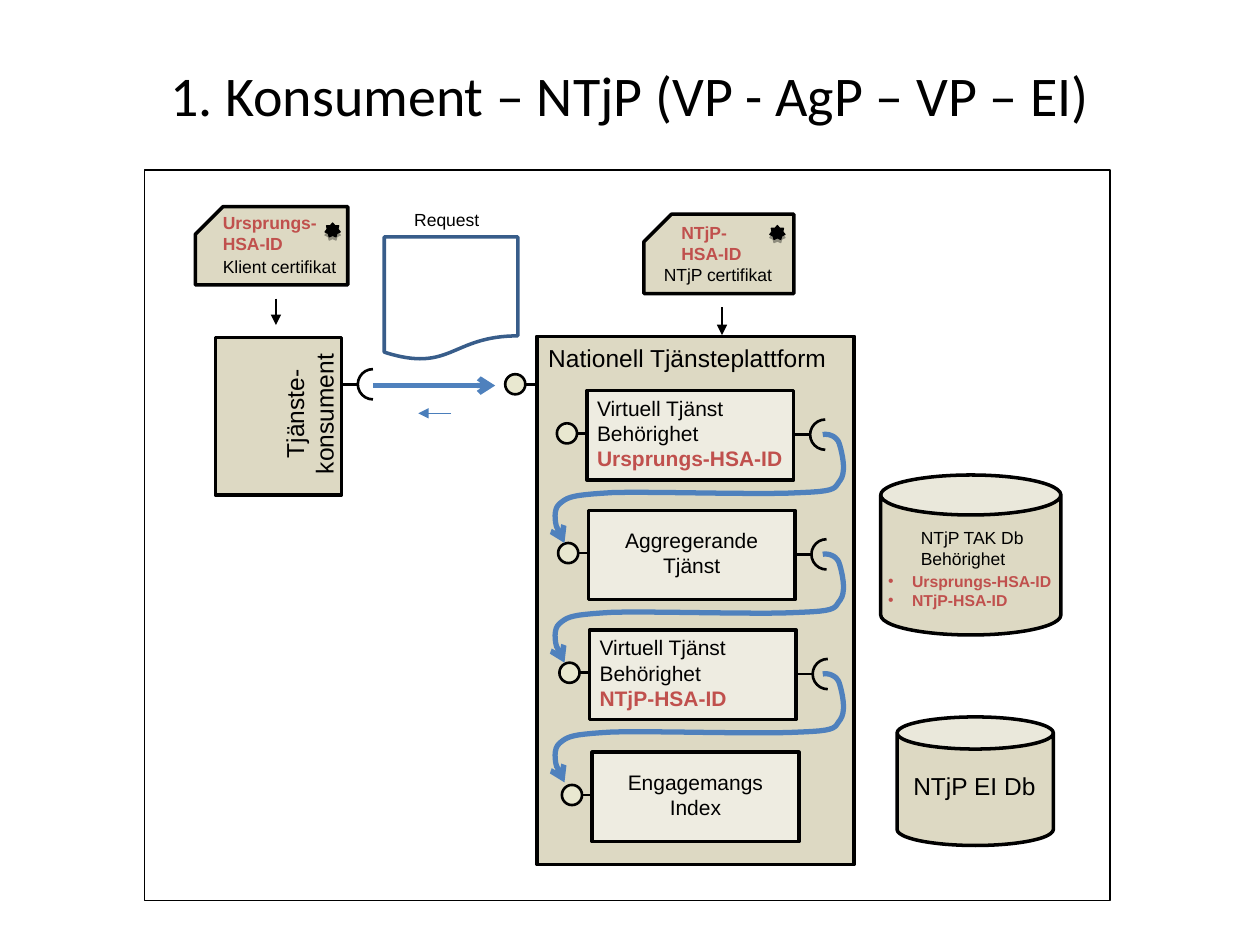
from lxml import etree
from pptx import Presentation
from pptx.dml.color import RGBColor
from pptx.enum.shapes import MSO_CONNECTOR, MSO_SHAPE
from pptx.enum.text import MSO_ANCHOR, MSO_AUTO_SIZE, PP_ALIGN
from pptx.oxml.ns import qn
from pptx.util import Inches, Pt

STRAIGHT = MSO_CONNECTOR.STRAIGHT
RECTANGLE, OVAL, ARC = MSO_SHAPE.RECTANGLE, MSO_SHAPE.OVAL, MSO_SHAPE.ARC
CAN, DOCUMENT, SEAL = MSO_SHAPE.CAN, MSO_SHAPE.FLOWCHART_DOCUMENT, MSO_SHAPE.STAR_7_POINT
LEFT, CENTER = PP_ALIGN.LEFT, PP_ALIGN.CENTER
MIDDLE, NO_RESIZE = MSO_ANCHOR.MIDDLE, MSO_AUTO_SIZE.NONE

BLACK, RED, BLUE, THIN_BLUE = "000000", "C0504D", "4F81BD", "4A7EBB"
SAND, PALE, BALL = "DDD9C3", "EEECE1", "E9E8D0"

TITLE = "1. Konsument – NTjP (VP - AgP – VP – EI)"
ROW_STEP = 0.95
SERVICES = [
    dict(at=(4.66, 3.1), align=LEFT, width=1.67, lines=["Virtuell Tjänst", "Behörighet"], identity="Ursprungs-HSA-ID"),
    dict(at=(4.67, 4.05), align=CENTER, width=1.3, lines=["Aggregerande", "Tjänst"], identity=None),
    dict(at=(4.68, 5.0), align=LEFT, width=1.21, lines=["Virtuell Tjänst", "Behörighet"], identity="NTjP-HSA-ID"),
    dict(at=(4.7, 5.97), align=CENTER, width=1.27, lines=["Engagemangs", "Index"], identity=None),
]
CERTIFICATES = [
    dict(at=(1.55, 1.64, 1.21, 0.62), seal=(2.58, 1.77), arrow=(2.19, 2.37, 2.58),
         name="Klient certifikat", name_at=(1.67, 1.98, 1.1, 0.27),
         identity=["Ursprungs-", "HSA-ID"], identity_at=(1.67, 1.63, 0.94, 0.44)),
    dict(at=(5.11, 1.7, 1.19, 0.63), seal=(6.11, 1.79), arrow=(5.73, 2.44, 2.66),
         name="NTjP certifikat", name_at=(5.17, 2.05, 1.06, 0.27),
         identity=["NTjP-", "HSA-ID"], identity_at=(5.31, 1.71, 0.67, 0.44)),
]
FLOW_START = (6.53, 3.45)
FLOW_CURVES = [
    ((6.57, 3.44), (6.64, 3.46), (6.66, 3.52)),
    ((6.68, 3.58), (6.72, 3.74), (6.67, 3.81)),
    ((6.62, 3.87), (6.66, 3.9), (6.36, 3.91)),
    ((6.06, 3.93), (5.18, 3.9), (4.86, 3.91)),
    ((4.54, 3.93), (4.51, 3.94), (4.44, 4.0)),
    ((4.38, 4.05), (4.41, 4.19), (4.44, 4.24)),
    ((4.47, 4.3), (4.48, 4.31), (4.48, 4.31)),
]


def color(value):
    return RGBColor.from_string(value)


def add_xml(parent, tag, **attributes):
    return etree.SubElement(parent, qn(tag), attributes)


def paint(shape, fill, line, weight):
    shape.shadow.inherit = False
    if fill:
        shape.fill.solid()
        shape.fill.fore_color.rgb = color(fill)
    else:
        shape.fill.background()
    shape.line.color.rgb = color(line)
    shape.line.width = Pt(weight)
    return shape


def add_box(kind, at, fill=None, line=BLACK, weight=2):
    return paint(page.shapes.add_shape(kind, *map(Inches, at)), fill, line, weight)


def add_head(shape, head):
    add_xml(shape.line._get_or_add_ln(), "a:tailEnd", type=head)


def add_line(start, end, line=BLACK, weight=1.5, head=None):
    connector = page.shapes.add_connector(STRAIGHT, *map(Inches, start + end))
    connector.line.color.rgb = color(line)
    connector.line.width = Pt(weight)
    if head:
        add_head(connector, head)
    add_xml(connector._element.spPr, "a:effectLst")


def add_outline(points, closed, fill, line, weight):
    corners = [(Inches(x), Inches(y)) for x, y in points]
    builder = page.shapes.build_freeform(*corners[0])
    builder.add_line_segments(corners[1:], close=closed)
    return paint(builder.convert_to_shape(), fill, line, weight)


def add_text(at, lines, size, align=LEFT, ink=BLACK, bold=False, bullet=False):
    box = page.shapes.add_textbox(*map(Inches, at))
    frame = box.text_frame
    frame.word_wrap = False
    frame.auto_size = NO_RESIZE
    for index, line in enumerate(lines):
        para = frame.paragraphs[0] if index == 0 else frame.add_paragraph()
        add_para(para, line, size, align, ink, bold)
        if bullet:
            properties = para._p.get_or_add_pPr()
            properties.set("marL", str(Inches(0.19)))
            properties.set("indent", str(-Inches(0.19)))
            add_xml(add_xml(properties, "a:buClr"), "a:srgbClr", val=ink)
            add_xml(properties, "a:buFont", typeface="Arial")
            add_xml(properties, "a:buChar", char="•")
    return box


def add_para(para, text, size, align, ink=BLACK, bold=False, font="Arial"):
    para.alignment = align
    span = para.add_run()
    span.text = text
    span.font.name = font
    span.font.size = Pt(size)
    span.font.bold = bold
    span.font.color.rgb = color(ink)


def add_socket(x, y):
    add_line((x - 0.3, y), (x, y))
    arc = add_box(ARC, (x, y - 0.12, 0.24, 0.24), weight=1.5)
    arc.adjustments[0] = 54
    arc.adjustments[1] = 162


def add_ball(x, y):
    add_line((x + 0.16, y), (x + 0.52, y))
    add_box(OVAL, (x, y - 0.08, 0.16, 0.16), BALL, weight=1.5)


def add_certificate(card):
    x, y, width, height = card["at"]
    corners = [(x + width, y), (x + 0.22, y), (x, y + 0.22), (x, y + height), (x + width, y + height)]
    add_outline(corners, True, SAND, BLACK, 2)
    seal = add_box(SEAL, card["seal"] + (0.12, 0.11), BLACK, weight=0.75)
    effects = seal._element.spPr.find(qn("a:effectLst"))
    shadow = add_xml(effects, "a:outerShdw", blurRad="0", dist=str(Pt(1.8)), dir="5400000")
    add_xml(add_xml(shadow, "a:srgbClr", val=BLACK), "a:alpha", val="35000")
    add_text(card["name_at"], [card["name"]], 10)
    add_text(card["identity_at"], card["identity"], 10, ink=RED, bold=True)
    x, top, bottom = card["arrow"]
    add_line((x, top), (x, bottom), weight=0.75, head="triangle")


def add_service(service):
    x, y = service["at"]
    add_ball(x - 0.24, y + 0.34)
    add_box(RECTANGLE, (x, y, 1.64, 0.71), PALE)
    if service["align"] == LEFT:
        at = (x - 0.02, y - 0.01, service["width"], 0.7)
    else:
        at = (x + 0.82 - service["width"] / 2, y + 0.09, service["width"], 0.5)
    box = add_text(at, service["lines"], 12, service["align"])
    if service["identity"]:
        add_para(box.text_frame.add_paragraph(), service["identity"], 12, LEFT, RED, True)


def add_flow(shift):
    points = [FLOW_START]
    for curve in FLOW_CURVES:
        nodes = (points[-1],) + curve
        for step in range(1, 11):
            t = step / 10
            weights = ((1 - t) ** 3, 3 * t * (1 - t) ** 2, 3 * t * t * (1 - t), t ** 3)
            points.append(tuple(sum(w * n[axis] for w, n in zip(weights, nodes)) for axis in (0, 1)))
    flow = add_outline([(x, y + shift) for x, y in points], False, None, BLUE, 3)
    add_head(flow, "arrow")


deck = Presentation()
deck.slide_width, deck.slide_height = Inches(10), Inches(7.5)
page = deck.slides.add_slide(deck.slide_layouts[5])

title = page.shapes.title
title.left, title.top, title.width, title.height = map(Inches, (0.5, 0.12, 9, 1.25))
title.text_frame.vertical_anchor = MIDDLE
add_para(title.text_frame.paragraphs[0], TITLE, 32, CENTER, font="Calibri")

add_box(RECTANGLE, (1.15, 1.35, 7.66, 5.8), weight=0.75)

add_socket(2.84, 3.05)
add_box(RECTANGLE, (1.71, 2.68, 1, 1.25), SAND)
add_line((2.96, 3.06), (3.93, 3.06), BLUE, 3, "arrow")
add_line((3.58, 3.28), (3.32, 3.28), THIN_BLUE, 0.75, "triangle")
consumer = add_text((1.88, 3, 1.15, 0.57), ["Tjänste-", "konsument"], 14, CENTER)
consumer.rotation = 270

add_box(DOCUMENT, (3.05, 1.88, 1.06, 0.98), "FFFFFF", "385D8A")
add_text((3.19, 1.61, 0.71, 0.27), ["Request"], 10, CENTER)

add_box(CAN, (6.99, 3.77, 1.43, 1.27), SAND)
add_text((7.21, 4.13, 1.03, 0.44), ["NTjP TAK Db", "Behörighet"], 10)
add_text((6.95, 4.49, 1.49, 0.4), ["Ursprungs-HSA-ID", "NTjP-HSA-ID"], 9, ink=RED, bold=True, bullet=True)
add_box(CAN, (7.12, 5.69, 1.24, 1.02), SAND)
add_text((7.15, 6.07, 1.17, 0.34), ["NTjP EI Db"], 14)

add_ball(4.01, 3.05)
add_box(RECTANGLE, (4.26, 2.67, 2.52, 4.19), SAND)
add_text((4.25, 2.67, 2.41, 0.34), ["Nationell Tjänsteplattform"], 14, CENTER)

for card in CERTIFICATES:
    add_certificate(card)
for service in SERVICES[:-1]:
    x, y = service["at"]
    add_socket(x + 1.77, y + 0.35)
for service in SERVICES:
    add_service(service)
for row in range(len(SERVICES) - 1):
    add_flow(row * ROW_STEP)

deck.save("out.pptx")
